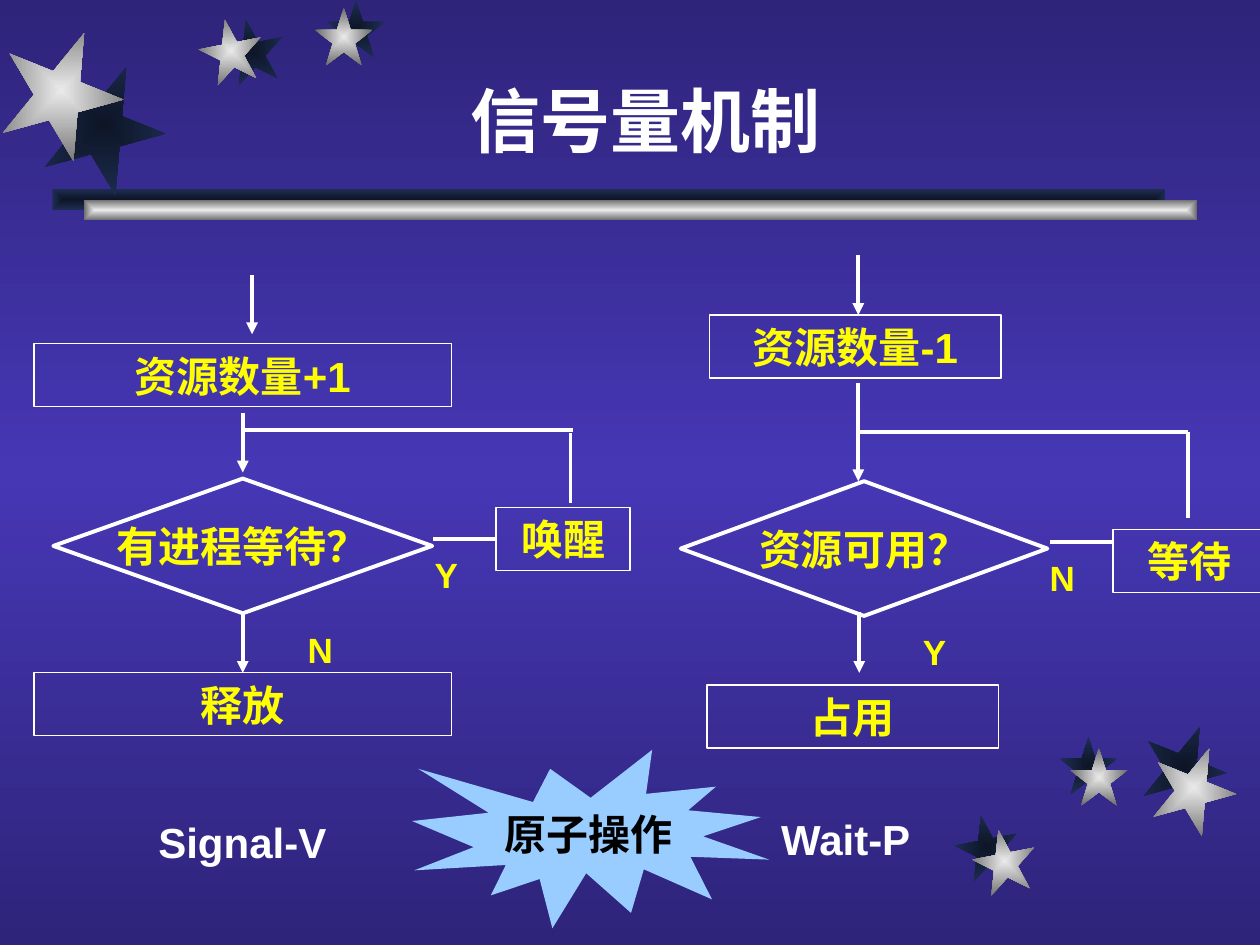
import dataclasses

import pptx
import pptx.dml.color
import pptx.enum.shapes
import pptx.enum.text
import pptx.oxml
import pptx.oxml.ns
import pptx.util

Pt = pptx.util.Pt
RGBColor = pptx.dml.color.RGBColor
Shape = pptx.enum.shapes.MSO_SHAPE
Anchor = pptx.enum.text.MSO_ANCHOR
qn = pptx.oxml.ns.qn

WHITE = RGBColor(0xFF, 0xFF, 0xFF)
YELLOW = RGBColor(0xFF, 0xFF, 0x00)
BLACK = RGBColor(0x00, 0x00, 0x00)
SKY = RGBColor(0x99, 0xCC, 0xFF)
NAVY = RGBColor(0x2E, 0x24, 0x7A)
VIOLET = RGBColor(0x46, 0x37, 0xB5)
SHADE = [RGBColor(0x0D, 0x15, 0x26), RGBColor(0x1E, 0x2E, 0x53)]
SILVER = [RGBColor(0xEA, 0xEA, 0xEA), RGBColor(0x6B, 0x6B, 0x6B)]
EAST_ASIAN_FONT = "Noto Sans CJK SC"
LINEAR = '<a:lin ang="5400000" scaled="0"/>'
CENTRED = '<a:path path="rect"><a:fillToRect l="50000" t="50000" r="50000" b="50000"/></a:path>'


@dataclasses.dataclass
class Flow:
    step: tuple
    decision: tuple
    side: tuple
    end: tuple
    yes_no: tuple
    arrows: tuple
    lines: tuple


SIGNAL_FLOW = Flow(
    step=("资源数量+1", 0, 39.5, 238.5, 36),
    decision=("有进程等待？", 11, 116.5, 216.5, 77),
    side=("唤醒", 264, 133, 76.5, 36),
    end=("释放", 0, 227.5, 238.5, 36),
    yes_no=(("Y", 214, 156, 43, 31), ("N", 142, 198.5, 43, 31)),
    arrows=((124.5, 0, 34), (119.25, 79, 113), (119.25, 193.5, 227.5)),
    lines=((228, 151, 264, 151), (306.5, 90.5, 306.5, 130.5), (120, 88.5, 308, 88.5)),
)
WAIT_FLOW = Flow(
    step=("资源数量-1", 16.5, 34.5, 166.5, 36),
    decision=("资源可用？", 0, 129.5, 209.5, 77),
    side=("等待", 247, 157, 87, 36),
    end=("占用", 15, 246, 166.5, 36),
    yes_no=(("N", 196.5, 169, 43, 31), ("Y", 123.5, 211.5, 43, 31)),
    arrows=((101.5, 0, 34.5), (101.5, 73.5, 129.5), (102, 204.5, 239)),
    lines=((211, 164, 247, 164), (290, 101.5, 290, 150.5), (102, 101.5, 290, 101.5)),
)


def set_gradient(fill, parent, colours, direction):
    fill.gradient()
    gradient = next(parent.iter(qn("a:gradFill")))
    step = 100000 // (len(colours) - 1)
    stops = "".join(
        f'<a:gs pos="{index * step}"><a:srgbClr val="{colour}"/></a:gs>'
        for index, colour in enumerate(colours)
    )
    gradient.getparent().replace(gradient, pptx.oxml.parse_xml(
        f'<a:gradFill rotWithShape="1" {pptx.oxml.ns.nsdecls("a")}>'
        f"<a:gsLst>{stops}</a:gsLst>{direction}</a:gradFill>"
    ))


def add_preset(slide, kind, box):
    shape = slide.shapes.add_shape(kind, *map(Pt, box))
    shape.shadow.inherit = False
    shape.fill.background()
    shape.line.fill.background()
    return shape


def add_decoration(slide, kind, box, colours, rotation=0):
    shape = add_preset(slide, kind, box)
    shape.rotation = rotation
    set_gradient(shape.fill, shape._element, colours, CENTRED)


def write_text(shape, text, size, colour, font="Arial", anchor=Anchor.BOTTOM, wrap=True, inset=True):
    frame = shape.text_frame
    frame.text = text
    frame.word_wrap = wrap
    frame.vertical_anchor = anchor
    frame.auto_size = pptx.enum.text.MSO_AUTO_SIZE.NONE
    frame.margin_left = frame.margin_right = Pt(7.2 if inset else 0)
    frame.margin_top = frame.margin_bottom = Pt(3.6 if inset else 0)
    paragraph = frame.paragraphs[0]
    paragraph.alignment = pptx.enum.text.PP_ALIGN.CENTER
    run = paragraph.runs[0]
    run.font.size = Pt(size)
    run.font.bold = True
    run.font.name = font
    run.font.color.rgb = colour
    east_asian = pptx.oxml.parse_xml(
        f'<a:ea {pptx.oxml.ns.nsdecls("a")} typeface="{EAST_ASIAN_FONT}"/>'
    )
    run._r.rPr.find(qn("a:latin")).addnext(east_asian)


def add_label(slide, text, box, size, colour):
    write_text(slide.shapes.add_textbox(*map(Pt, box)), text, size, colour)


def add_node(slide, kind, text, box):
    shape = add_preset(slide, kind, box)
    shape.line.color.rgb = WHITE
    is_decision = kind == Shape.FLOWCHART_DECISION
    shape.line.width = Pt(2.25 if is_decision else 0.75)
    anchor = Anchor.MIDDLE if is_decision else Anchor.BOTTOM
    write_text(shape, text, 24, YELLOW, anchor=anchor, wrap=not is_decision, inset=not is_decision)
    return shape


def add_line(slide, start_x, start_y, end_x, end_y, arrow=False):
    connector = slide.shapes.add_connector(
        pptx.enum.shapes.MSO_CONNECTOR.STRAIGHT, *map(Pt, (start_x, start_y, end_x, end_y))
    )
    connector.line.color.rgb = WHITE
    connector.line.width = Pt(2.25)
    if arrow:
        line = connector.line._get_or_add_ln()
        line.append(line.makeelement(qn("a:tailEnd"), {"type": "triangle"}))
    properties = connector._element.spPr
    properties.append(properties.makeelement(qn("a:effectLst"), {}))
    return connector


def add_flow(slide, flow, left, top):
    def place(box):
        return (left + box[0], top + box[1], *box[2:])

    nodes = {}
    for name in ("step", "decision", "side", "end"):
        text, *box = getattr(flow, name)
        kind = Shape.FLOWCHART_DECISION if name == "decision" else Shape.RECTANGLE
        nodes[name] = add_node(slide, kind, text, place(box))
    for text, *box in flow.yes_no:
        add_label(slide, text, place(box), 20, YELLOW)
    connectors = [
        add_line(slide, left + x, top + start, left + x, top + end, arrow=True)
        for x, start, end in flow.arrows
    ]
    for start_x, start_y, end_x, end_y in flow.lines:
        connectors.append(add_line(slide, left + start_x, top + start_y, left + end_x, top + end_y))
    return nodes, connectors


def add_backdrop(slide):
    set_gradient(slide.background.fill, slide._element, [NAVY, VIOLET, NAVY], LINEAR)
    for left, top, colours in ((30, 108, SHADE), (48, 114, SILVER)):
        add_decoration(slide, Shape.RECTANGLE, (left, top, 636, 12), colours)
    stars = (
        (70, 22, (24, 36), (0, 16.5)),
        (36, 349, (126, 11), (114, 11)),
        (33, 0, (187, 0), (180, 4.5)),
        (36, 349, (546, 466), (556, 474)),
        (33, 0, (605.5, 421), (611.5, 427.5)),
        (48, 22, (652.5, 414), (658, 426)),
    )
    for size, rotation, shade, silver in stars:
        for corner, colours in ((shade, SHADE), (silver, SILVER)):
            add_decoration(slide, Shape.STAR_5_POINT, (*corner, size, size), colours, rotation)


def add_title(slide, left, top, width, height):
    title = slide.shapes.title
    title.left, title.top, title.width, title.height = map(Pt, (left, top, width, height))
    write_text(title, "信号量机制", 40, WHITE, font="Times New Roman")


def add_captions(slide):
    add_label(slide, "Signal-V", (71.5, 463, 134, 36), 24, WHITE)
    add_label(slide, "Wait-P", (432.5, 461, 101.5, 36), 24, WHITE)
    burst = add_preset(slide, Shape.EXPLOSION1, (235.5, 428.5, 204, 102))
    burst.fill.solid()
    burst.fill.fore_color.rgb = SKY
    write_text(burst, "原子操作", 24, BLACK, font=EAST_ASIAN_FONT, anchor=Anchor.MIDDLE, wrap=False)


def main():
    presentation = pptx.Presentation()
    presentation.slide_width, presentation.slide_height = Pt(720), Pt(540)
    slide = presentation.slides.add_slide(presentation.slide_layouts[5])
    add_backdrop(slide)
    add_title(slide, 96, 36, 546, 60)
    add_flow(slide, WAIT_FLOW, 389, 145.5)
    nodes, connectors = add_flow(slide, SIGNAL_FLOW, 19.5, 157)
    release_arrow, wake_line = connectors[2], connectors[3]
    release_arrow.begin_connect(nodes["decision"], 2)
    release_arrow.end_connect(nodes["end"], 0)
    wake_line.end_connect(nodes["side"], 1)
    add_captions(slide)
    presentation.save("out.pptx")


if __name__ == "__main__":
    main()
